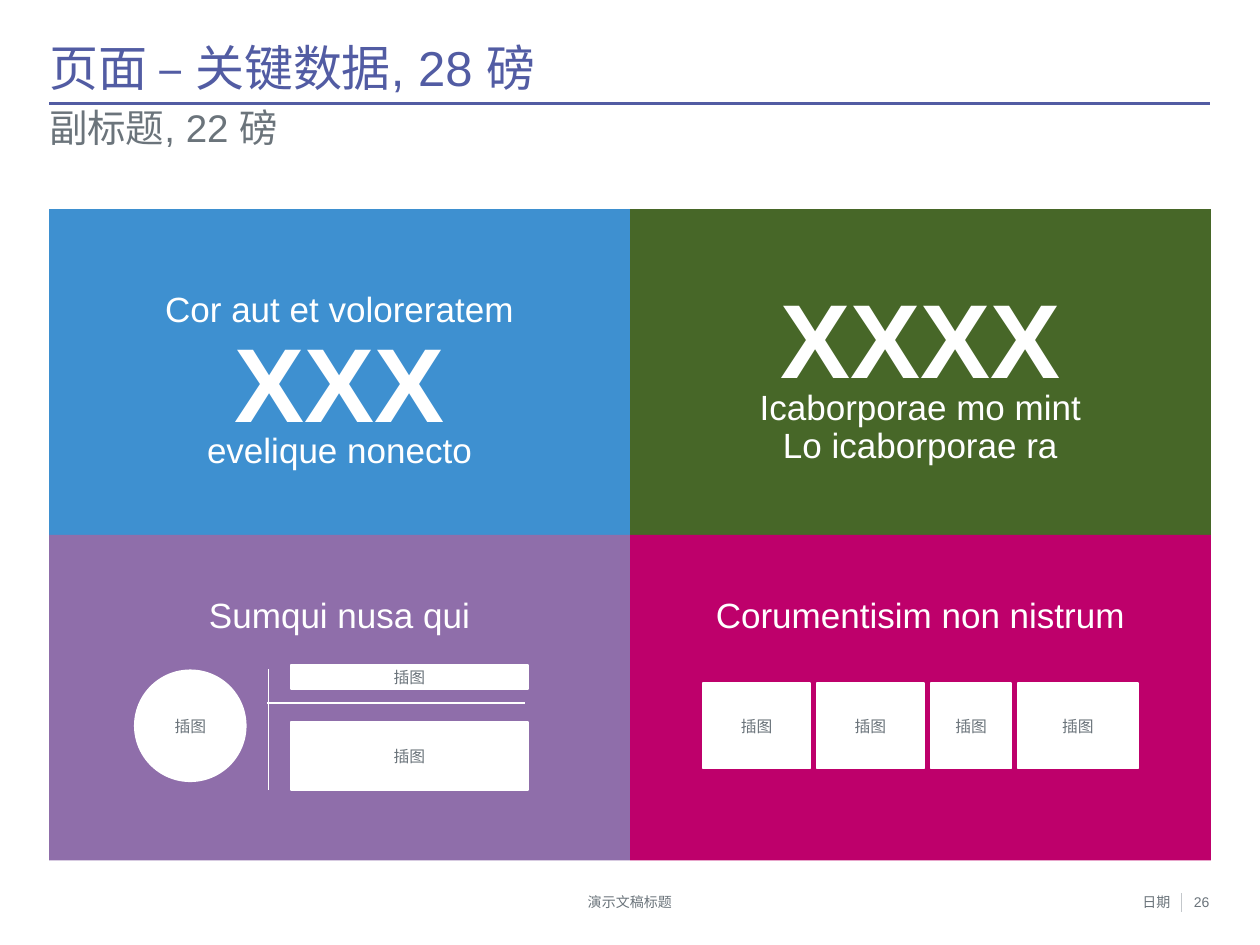
import pptx
import pptx.util
import pptx.dml.color
import pptx.enum.shapes
import pptx.enum.text
import pptx.oxml.ns
import lxml.etree

Inches, Pt = pptx.util.Inches, pptx.util.Pt
SHAPE = pptx.enum.shapes.MSO_SHAPE
ALIGN = pptx.enum.text.PP_ALIGN
ANCHOR = pptx.enum.text.MSO_ANCHOR

# Content
TITLE = "页面 – 关键数据, 28 磅"
SUBTITLE = "副标题, 22 磅"
PLACEHOLDER = "插图"
COLORS = {
    "indigo": "525CA3", "gray": "6B747B", "silver": "C3C7CB", "white": "FFFFFF",
    "blue": "3E90D0", "green": "476728", "purple": "8F6EAA", "magenta": "BE006B",
}
TILES = [["blue", "green"], ["purple", "magenta"]]

# Key figures: column, top, height, size, bold, lines
FIGURES = [
    (0, 2.32, 0.5, 20, False, ["Cor aut et voloreratem"]),
    (0, 2.63, 1.59, 60, True, ["XXX"]),
    (0, 3.44, 0.5, 20, False, ["evelique nonecto"]),
    (1, 2.28, 1.09, 60, True, ["XXXX"]),
    (1, 3.1, 0.71, 20, False, ["Icaborporae mo mint", "Lo icaborporae ra"]),
    (0, 4.75, 0.37, 20, False, ["Sumqui nusa qui"]),
    (1, 4.75, 1.15, 20, False, ["Corumentisim non nistrum"]),
]
# Footer: left, width, alignment, text
FOOTER = [
    (1.37, 7.26, ALIGN.CENTER, "演示文稿标题"),
    (8.44, 0.85, ALIGN.RIGHT, "日期"),
    (9.26, 0.34, ALIGN.RIGHT, "26"),
]
# Lines: start, end, color, width
LINES = [
    ((0.39, 0.82), (9.6, 0.82), "indigo", 1.5),
    ((9.38, 7.09), (9.38, 7.24), "silver", 0.5),
    ((2.13, 5.31), (2.13, 6.27), "white", 0.75),
    ((2.12, 5.58), (4.17, 5.58), "white", 0.75),
]
DIAGRAM = [
    (SHAPE.OVAL, 1.07, 5.32, 0.88, 0.88),
    (SHAPE.RECTANGLE, 2.31, 5.28, 1.88, 0.19),
    (SHAPE.RECTANGLE, 2.31, 5.73, 1.88, 0.54),
]
ROW_WIDTHS = [0.85, 0.85, 0.64, 0.95]
ROW_LEFT, ROW_RIGHT, ROW_TOP, ROW_HEIGHT = 5.58, 9.03, 5.42, 0.68

# Grid
LEFT, TOP, WIDTH, HEIGHT = 0.39, 1.66, 9.22, 5.17
COLUMN, ROW = WIDTH / 2, HEIGHT / 2


def rgb(name):
    return pptx.dml.color.RGBColor.from_string(COLORS[name])


def write(box, lines, size, color, align, anchor=ANCHOR.TOP, bold=False, spacing=1.0):
    frame = box.text_frame
    frame.word_wrap = True
    frame.auto_size = pptx.enum.text.MSO_AUTO_SIZE.NONE
    frame.vertical_anchor = anchor
    frame.margin_left = frame.margin_right = 0
    frame.margin_top = frame.margin_bottom = 0
    frame.text = "\n".join(lines)
    for para in frame.paragraphs:
        para.alignment = align
        para.line_spacing = spacing
        para.font.name = "Arial"
        para.font.size = Pt(size)
        para.font.bold = bold
        para.font.color.rgb = rgb(color)


def add_text(page, area, *args, **options):
    box = page.shapes.add_textbox(*map(Inches, area))
    write(box, *args, **options)


def add_block(page, kind, area, color, outlined=False):
    block = page.shapes.add_shape(kind, *map(Inches, area))
    block.shadow.inherit = False
    block.fill.solid()
    block.fill.fore_color.rgb = rgb(color)
    if outlined:
        block.line.color.rgb = rgb(color)
        block.line.width = Pt(1)
    else:
        block.line.fill.background()
    return block


def add_line(page, start, end, color, width):
    line = page.shapes.add_connector(
        pptx.enum.shapes.MSO_CONNECTOR.STRAIGHT, *map(Inches, start + end))
    line.line.color.rgb = rgb(color)
    line.line.width = Pt(width)
    lxml.etree.SubElement(line._element.spPr, pptx.oxml.ns.qn("a:effectLst"))


def main():
    deck = pptx.Presentation()
    deck.slide_width, deck.slide_height = Inches(10), Inches(7.5)
    page = deck.slides.add_slide(deck.slide_layouts[5])

    # Title and subtitle
    title = page.shapes.title
    title.left, title.top = Inches(LEFT), Inches(0.35)
    title.width, title.height = Inches(WIDTH), Inches(0.42)
    write(title, [TITLE], 28, "indigo", ALIGN.JUSTIFY, ANCHOR.MIDDLE, spacing=0.9)
    add_text(page, (LEFT, 0.87, WIDTH, 0.51), [SUBTITLE], 22, "gray",
             ALIGN.JUSTIFY, spacing=0.9)

    # Colored tiles
    for row, colors in enumerate(TILES):
        for column, color in enumerate(colors):
            area = (LEFT + column * COLUMN, TOP + row * ROW, COLUMN, ROW)
            add_block(page, SHAPE.RECTANGLE, area, color)

    # Key figures
    for column, top, height, size, bold, lines in FIGURES:
        add_text(page, (LEFT + column * COLUMN, top, COLUMN, height), lines, size,
                 "white", ALIGN.CENTER, bold=bold, spacing=0.9)

    # Rules and dividers
    for line in LINES:
        add_line(page, *line)

    # Illustration areas: the diagram, then an evenly spaced row
    areas = list(DIAGRAM)
    gap = (ROW_RIGHT - ROW_LEFT - sum(ROW_WIDTHS)) / (len(ROW_WIDTHS) - 1)
    left = ROW_LEFT
    for width in ROW_WIDTHS:
        areas.append((SHAPE.RECTANGLE, left, ROW_TOP, width, ROW_HEIGHT))
        left += width + gap
    for kind, *area in areas:
        block = add_block(page, kind, area, "white", outlined=True)
        write(block, [PLACEHOLDER], 9, "gray", ALIGN.CENTER, ANCHOR.MIDDLE)

    # Footer
    for left, width, align, text in FOOTER:
        add_text(page, (left, 7.09, width, 0.13), [text], 8, "gray", align)

    deck.save("out.pptx")


if __name__ == "__main__":
    main()
